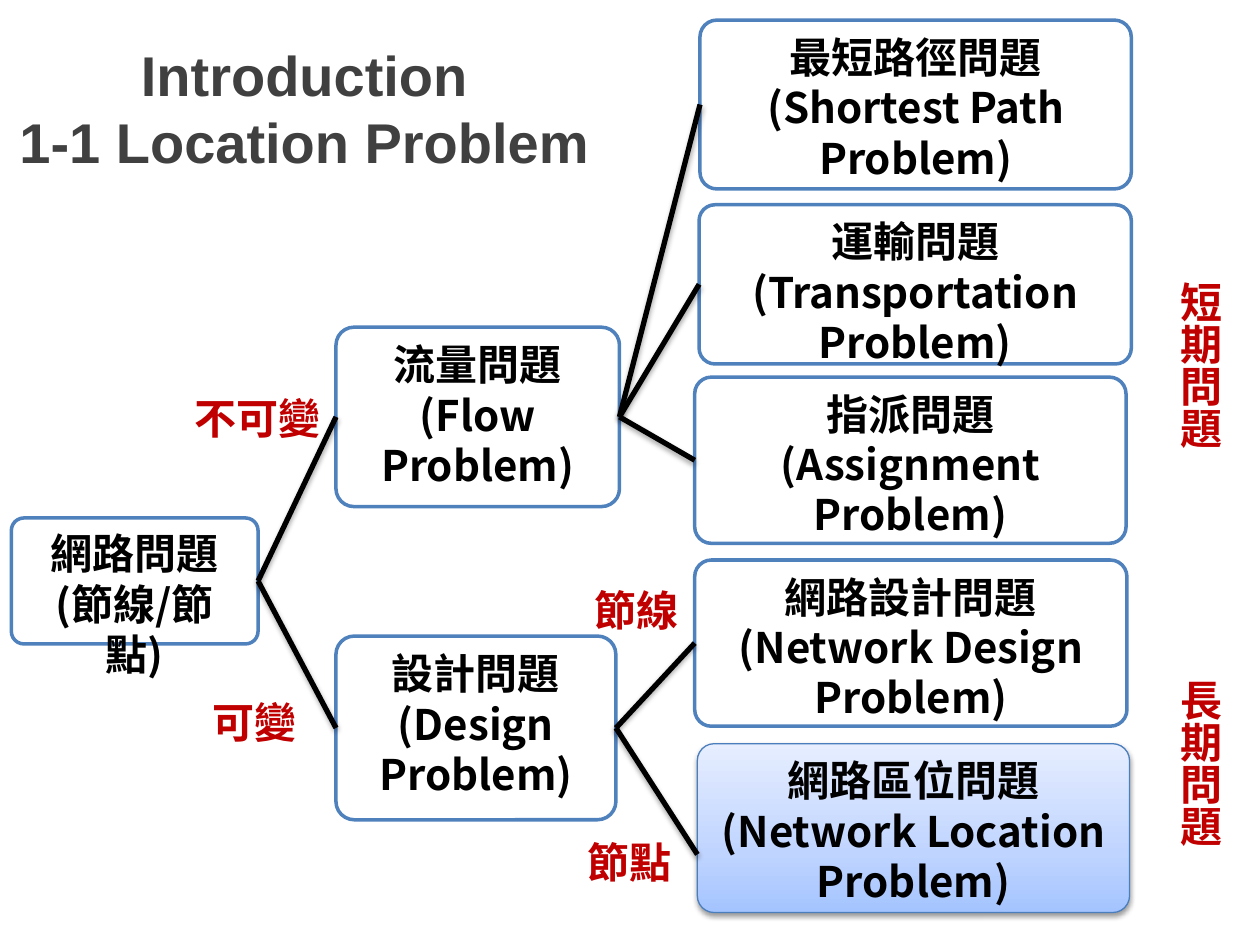
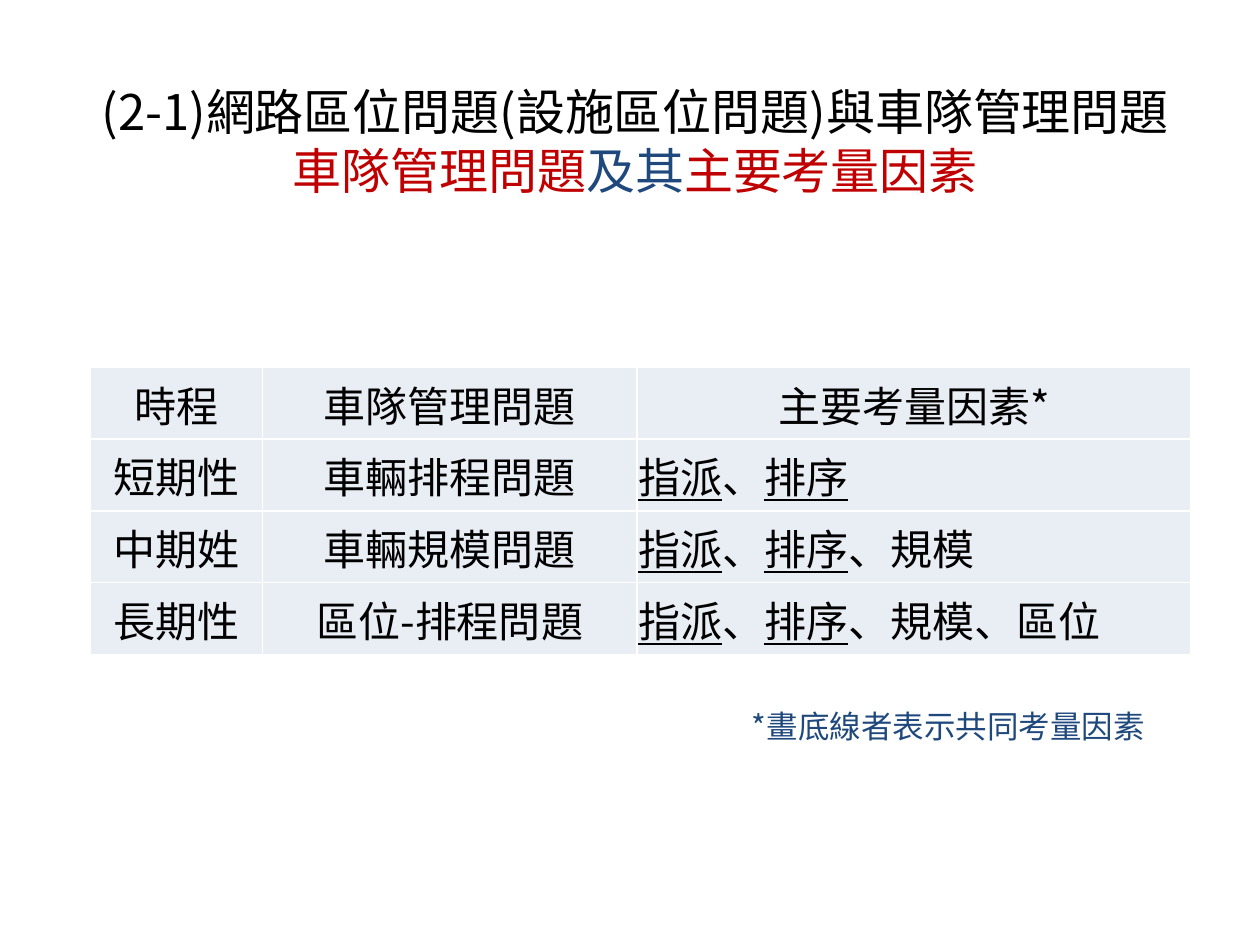
"""Build two slides on network location and fleet management problems."""
import pptx
import pptx.dml.color
import pptx.enum.shapes
import pptx.enum.text
import pptx.oxml.ns
import pptx.util
from lxml import etree

Pt = pptx.util.Pt
qn = pptx.oxml.ns.qn
ALIGN = pptx.enum.text.PP_ALIGN
ANCHOR = pptx.enum.text.MSO_ANCHOR
COLORS = {
    "ink": "000000", "red": "C00000", "navy": "1F497D", "heading": "404040",
    "paper": "FFFFFF", "outline": "4F81BD", "focus_outline": "4B7EBC", "cell": "E9EDF4",
    "focus_low": "A4C4FF", "focus_mid": "BFD4FF", "focus_high": "E6EEFF",
}
CJK = "Noto Sans CJK SC"


def rgb(color):
    """Return the palette colour of the given name."""
    return pptx.dml.color.RGBColor.from_string(COLORS[color])


def format_run(run, size, color="ink", bold=False, font=CJK, underline=False):
    """Style one run, with the same typeface for Latin and East Asian text."""
    run.font.size, run.font.bold, run.font.name = Pt(size), bold, font
    run.font.underline = underline
    run.font.color.rgb = rgb(color)
    latin = run.font._element.find(qn("a:latin"))
    east_asian = etree.Element(qn("a:ea"), typeface=font)
    latin.addnext(east_asian)


def write_lines(frame, text, size, align=ALIGN.CENTER, **style):
    """Write one paragraph per line of text, all in one style."""
    frame.text = text
    for paragraph in frame.paragraphs:
        paragraph.alignment = align
        for run in paragraph.runs:
            format_run(run, size, **style)


def add_text(slide, box, wrap=True, anchor=ANCHOR.TOP):
    """Add an empty text box and return its frame."""
    frame = slide.shapes.add_textbox(*map(Pt, box)).text_frame
    frame.word_wrap, frame.vertical_anchor = wrap, anchor
    return frame


def add_shadow(item, opacity):
    """Drop a soft shadow straight below a shape or line."""
    properties = item._element.spPr
    effects = properties.find(qn("a:effectLst"))
    if effects is None:
        effects = etree.SubElement(properties, qn("a:effectLst"))
    shadow = etree.SubElement(effects, qn("a:outerShdw"), blurRad=str(Pt(3.1)),
                              dist=str(Pt(1.7)), dir="5400000", rotWithShape="0")
    tint = etree.SubElement(shadow, qn("a:srgbClr"), val=COLORS["ink"])
    etree.SubElement(tint, qn("a:alpha"), val=str(opacity * 1000))


def fill_focus(node):
    """Fill a node with the blue gradient that rises from dark to light."""
    node.fill.gradient()
    node.fill.gradient_angle = 90
    stops = node._element.spPr.find(".//" + qn("a:gsLst"))
    for stop in list(stops):
        stops.remove(stop)
    for position, color in ((0, "focus_low"), (35, "focus_mid"), (100, "focus_high")):
        stop = etree.SubElement(stops, qn("a:gs"), pos=str(position * 1000))
        etree.SubElement(stop, qn("a:srgbClr"), val=COLORS[color])


def add_problem(slide, box, text, focus=False):
    """Add one rounded problem node of the tree."""
    node = slide.shapes.add_shape(pptx.enum.shapes.MSO_SHAPE.ROUNDED_RECTANGLE, *map(Pt, box))
    node.adjustments[0] = 0.1
    node.shadow.inherit = False
    if focus:
        fill_focus(node)
    else:
        node.fill.solid()
        node.fill.fore_color.rgb = rgb("paper")
    node.line.color.rgb = rgb("focus_outline" if focus else "outline")
    node.line.width = Pt(0.75 if focus else 2)
    if focus:
        add_shadow(node, 38)
    node.text_frame.word_wrap = True
    node.text_frame.vertical_anchor = ANCHOR.TOP
    write_lines(node.text_frame, text, 24, bold=True)


def add_branch(slide, parent, child, drop=0):
    """Join the right middle of a parent box to the left side of a child box."""
    left, top, width, height = parent
    branch = slide.shapes.add_connector(
        pptx.enum.shapes.MSO_CONNECTOR.STRAIGHT, Pt(left + width), Pt(top + height / 2),
        Pt(child[0]), Pt(child[1] + child[3] / 2 + drop))
    branch.line.color.rgb = rgb("ink")
    branch.line.width = Pt(3)
    add_shadow(branch, 35)


def add_label(slide, box, text, vertical=False):
    """Add a red label, optionally set in a vertical column."""
    frame = add_text(slide, box, wrap=False)
    if vertical:
        frame._txBody.bodyPr.set("vert", "eaVert")
    write_lines(frame, text, 24, ALIGN.LEFT, color="red", bold=True)


def build_problem_tree(slide):
    """Build the tree of network problems."""
    problems = {
        "network": ((6.5, 296, 141, 72), "網路問題\n(節線/節點)"),
        "flow": ((192, 187, 162, 102.5), "流量問題\n(Flow Problem)"),
        "design": ((192, 363.5, 160, 105), "設計問題\n(Design Problem)"),
        "path": ((400, 11.5, 246.5, 96.5), "最短路徑問題\n(Shortest Path Problem)"),
        "transport": ((399.5, 117, 247, 91), "運輸問題\n(Transportation Problem)"),
        "assignment": ((397, 215.5, 246.5, 95), "指派問題\n(Assignment Problem)"),
        "network_design": ((397, 320, 247, 95), "網路設計問題\n(Network Design Problem)"),
        "location": ((398.5, 425, 247, 96.5), "網路區位問題\n(Network Location Problem)"),
    }
    branches = {
        "network": ("flow", "design"),
        "flow": ("path", "transport", "assignment"),
        "design": ("network_design", "location"),
    }
    for name, (box, text) in problems.items():
        add_problem(slide, box, text, focus=name == "location")
    for parent, children in branches.items():
        for child in children:
            add_branch(slide, problems[parent][0], problems[child][0],
                       drop=15 if child == "location" else 0)
    for left, top, width, text in ((104, 221, 87, "不可變"), (114.5, 394.5, 63, "可變"),
                                   (332.5, 330.5, 63, "節線"), (328.5, 474.5, 63, "節點")):
        add_label(slide, (left, top, width, 36), text)
    for top, text in ((154, "短期問題"), (381, "長期問題")):
        add_label(slide, (659.5, top, 44, 102), text, vertical=True)
    heading = add_text(slide, (2, 16.5, 344, 90), anchor=ANCHOR.MIDDLE)
    write_lines(heading, "Introduction\n1-1 Location Problem", 32,
                color="heading", bold=True, font="Arial")


def write_factors(paragraph, shared, others):
    """List the factors, underlining the shared ones."""
    paragraph.alignment = ALIGN.LEFT
    for index, factor in enumerate(shared + others):
        pieces = [("、", False)] if index else []
        for text, underline in pieces + [(factor, factor in shared)]:
            run = paragraph.add_run()
            run.text = text
            format_run(run, 24, underline=underline)


def style_cell(cell):
    """Give a table cell its fill, margins and white borders."""
    cell.fill.solid()
    cell.fill.fore_color.rgb = rgb("cell")
    cell.vertical_anchor = ANCHOR.MIDDLE
    cell.margin_left = cell.margin_right = cell.margin_top = Pt(0.7)
    cell.margin_bottom = 0
    properties = cell._tc.get_or_add_tcPr()
    for index, side in enumerate(("lnL", "lnR", "lnT", "lnB")):
        border = etree.Element(qn("a:" + side), w=str(Pt(1)))
        fill = etree.SubElement(border, qn("a:solidFill"))
        etree.SubElement(fill, qn("a:srgbClr"), val=COLORS["paper"])
        properties.insert(index, border)


def build_horizon_table(slide, box):
    """Tabulate fleet problems and their factors by time horizon."""
    shared = ["指派", "排序"]
    rows = (("時程", "車隊管理問題", "主要考量因素*"),
            ("短期性", "車輛排程問題", []),
            ("中期姓", "車輛規模問題", ["規模"]),
            ("長期性", "區位-排程問題", ["規模", "區位"]))
    table = slide.shapes.add_table(len(rows), 3, *map(Pt, box)).table
    table.first_row = table.horz_banding = False
    for column, width in zip(table.columns, (98.5, 214, 316.5)):
        column.width = Pt(width)
    for row, contents in zip(table.rows, rows):
        row.height = Pt(box[3] / len(rows))
        for cell, content in zip(row.cells, contents):
            style_cell(cell)
            if isinstance(content, list):
                write_factors(cell.text_frame.paragraphs[0], shared, content)
            else:
                write_lines(cell.text_frame, content, 24)


def build_fleet_slide(slide):
    """Build the slide on fleet management problems."""
    title = add_text(slide, (3, 43, 720, 108), anchor=ANCHOR.MIDDLE)
    title.margin_bottom = Pt(37)
    write_lines(title, "(2-1)網路區位問題(設施區位問題)與車隊管理問題", 28)
    subject = title.add_paragraph()
    subject.alignment = ALIGN.CENTER
    for text, color in (("車隊管理問題", "red"), ("及其", "navy"), ("主要考量因素", "red")):
        run = subject.add_run()
        run.text = text
        format_run(run, 28, color)
    build_horizon_table(slide, (51.5, 210, 629, 164))
    footnote = add_text(slide, (422.5, 400.5, 240, 29))
    write_lines(footnote, "*畫底線者表示共同考量因素", 18, ALIGN.LEFT, color="navy")


def main():
    """Build and save the presentation."""
    deck = pptx.Presentation()
    deck.slide_width, deck.slide_height = Pt(720), Pt(540)
    for build in (build_problem_tree, build_fleet_slide):
        build(deck.slides.add_slide(deck.slide_layouts[6]))
    deck.save("out.pptx")


if __name__ == "__main__":
    main()
